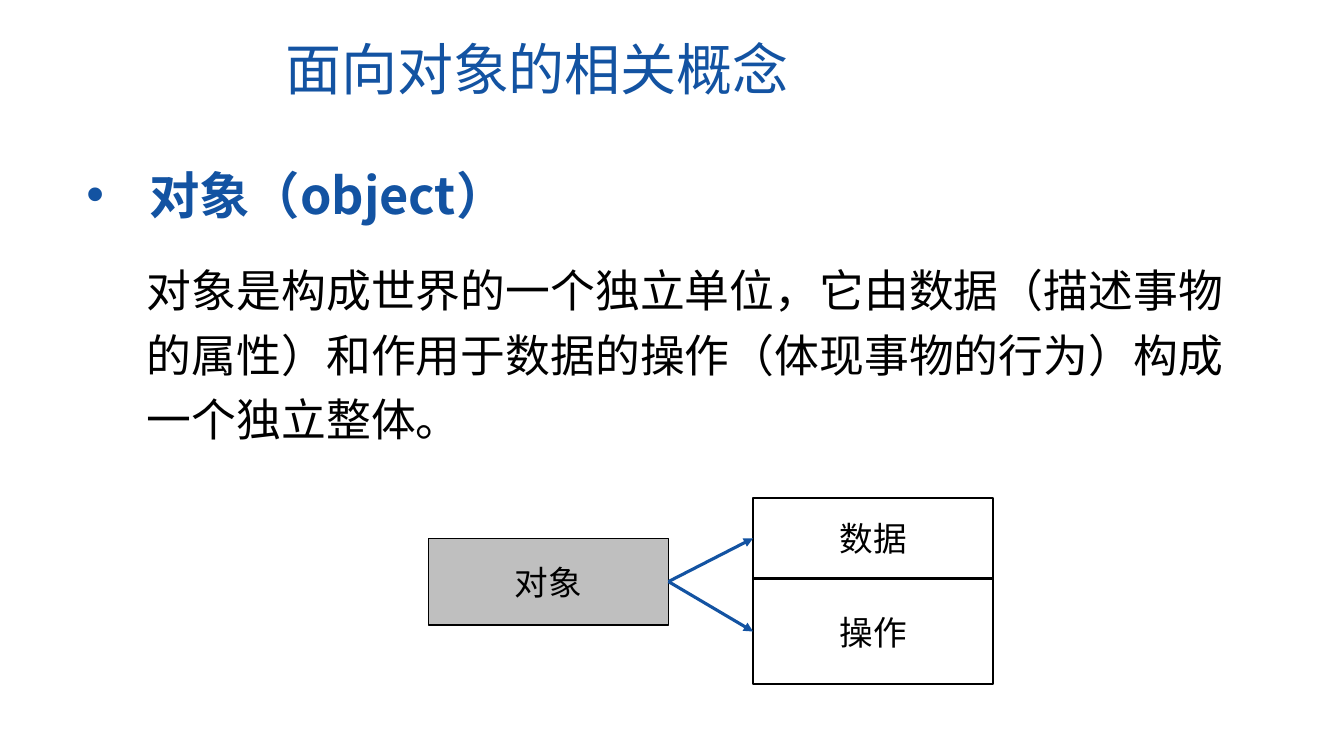
from dataclasses import dataclass

from lxml import etree
from pptx import Presentation
from pptx.dml.color import RGBColor
from pptx.enum.shapes import MSO_CONNECTOR, MSO_SHAPE
from pptx.enum.text import MSO_ANCHOR, PP_ALIGN
from pptx.oxml.ns import qn
from pptx.util import Inches, Pt

RECTANGLE = MSO_SHAPE.RECTANGLE
STRAIGHT = MSO_CONNECTOR.STRAIGHT
CENTER = PP_ALIGN.CENTER
MIDDLE = MSO_ANCHOR.MIDDLE
LEFT_SITE, RIGHT_SITE = 1, 3


@dataclass(frozen=True)
class Theme:
    """Colours, fonts and type sizes of the slide."""
    blue: RGBColor = RGBColor(0x13, 0x53, 0xA2)
    black: RGBColor = RGBColor(0, 0, 0)
    gray: RGBColor = RGBColor(0xBF, 0xBF, 0xBF)
    font: str = "Noto Sans CJK SC"
    body_font: str = "Calibri"
    title_size: int = 40
    heading_size: int = 36
    body_size: int = 32
    label_size: int = 24


THEME = Theme()


def style_paragraph(paragraph, size, color, name=THEME.font, bold=False):
    """Set the Latin and East Asian fonts of a paragraph."""
    font = paragraph.font
    font.size, font.bold, font.name = Pt(size), bold, name
    font.color.rgb = color
    latin = paragraph._p.pPr.find(qn("a:defRPr")).find(qn("a:latin"))
    east_asian = etree.Element(qn("a:ea"), typeface=THEME.font)
    latin.addnext(east_asian)


def add_text(slide, text, box, size, color, **font_options):
    """Add a wrapped text box and return its paragraph."""
    text_box = slide.shapes.add_textbox(*map(Inches, box))
    text_box.text_frame.word_wrap = True
    paragraph = text_box.text_frame.paragraphs[0]
    paragraph.text = text
    style_paragraph(paragraph, size, color, **font_options)
    return paragraph


def add_bullet(paragraph, indent):
    """Give a paragraph a bullet with a hanging indent."""
    properties = paragraph._p.get_or_add_pPr()
    properties.set("marL", str(Inches(indent)))
    properties.set("indent", str(-Inches(indent)))
    bullet = etree.Element(qn("a:buChar"), char="•")
    bullet_font = etree.Element(qn("a:buFont"), typeface="Arial")
    properties.insert(0, bullet_font)
    bullet_font.addnext(bullet)


def add_box(slide, text, box, line_width, fill=None):
    """Add a labelled rectangle, unfilled unless a colour is given."""
    shape = slide.shapes.add_shape(RECTANGLE, *map(Inches, box))
    shape.shadow.inherit = False
    if fill is None:
        shape.fill.background()
    else:
        shape.fill.solid()
        shape.fill.fore_color.rgb = fill
    shape.line.color.rgb = THEME.black
    shape.line.width = Pt(line_width)
    shape.text_frame.vertical_anchor = MIDDLE
    paragraph = shape.text_frame.paragraphs[0]
    paragraph.text = text
    paragraph.alignment = CENTER
    style_paragraph(paragraph, THEME.label_size, THEME.black)
    return shape


def add_arrow(slide, source, target):
    """Connect the right side of one box to the left side of another."""
    connector = slide.shapes.add_connector(STRAIGHT, 0, 0, 0, 0)
    connector.begin_connect(source, RIGHT_SITE)
    connector.end_connect(target, LEFT_SITE)
    connector.line.color.rgb = THEME.blue
    connector.line.width = Pt(2.25)
    etree.SubElement(connector.line._get_or_add_ln(), qn("a:tailEnd"), type="triangle")
    etree.SubElement(connector._element.spPr, qn("a:effectLst"))


def add_object_diagram(slide):
    """Draw the object box with arrows to its data and operations."""
    width, part_left, part_top = 2.38, 7.47, 4.94
    object_box = add_box(slide, "对象", (4.25, 5.34, width, 0.86), 1, THEME.gray)
    for label, height in (("数据", 0.8), ("操作", 1.05)):
        part = add_box(slide, label, (part_left, part_top, width, height), 1.5)
        add_arrow(slide, object_box, part)
        part_top += height


def main():
    """Build and save the slide."""
    presentation = Presentation()
    presentation.slide_width = Inches(13.33)
    presentation.slide_height = Inches(7.5)
    slide = presentation.slides.add_slide(presentation.slide_layouts[6])
    add_text(slide, "面向对象的相关概念", (2.73, 0.29, 5.88, 0.77),
             THEME.title_size, THEME.blue)
    heading = add_text(slide, "对象（object）", (0.76, 1.58, 8, 0.71),
                       THEME.heading_size, THEME.blue, bold=True)
    add_bullet(heading, 0.62)
    body = add_text(
        slide,
        "对象是构成世界的一个独立单位，它由数据（描述事物的属性）"
        "和作用于数据的操作（体现事物的行为）构成一个独立整体。",
        (1.36, 2.45, 11, 1.99), THEME.body_size, THEME.black, name=THEME.body_font)
    body.line_spacing = 1.2
    add_object_diagram(slide)
    presentation.save("out.pptx")


if __name__ == "__main__":
    main()
